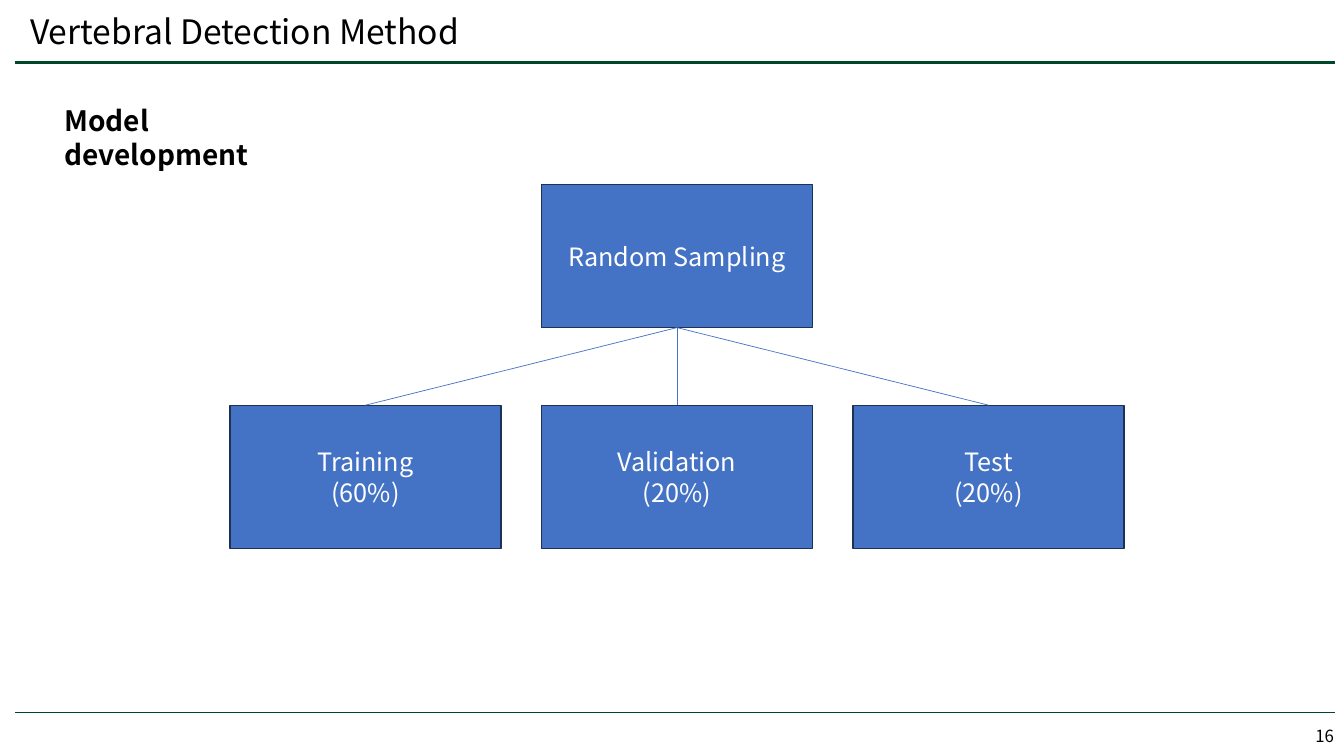
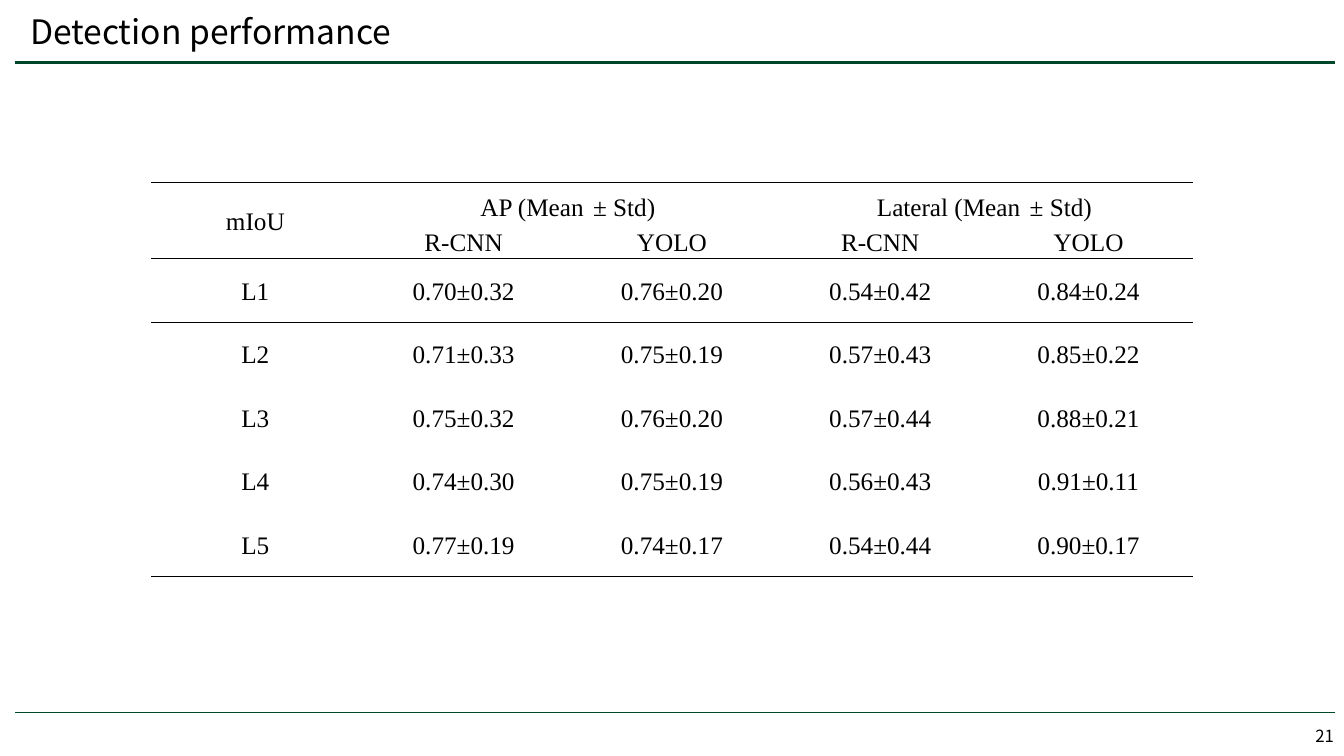
"""Build two slides on vertebral detection: the data split and the results table."""
from dataclasses import dataclass

from lxml import etree
from pptx import Presentation
from pptx import util as u
from pptx.dml.color import RGBColor
from pptx.enum import shapes, text
from pptx.oxml import ns

BLACK = RGBColor(0x00, 0x00, 0x00)
WHITE = RGBColor(0xFF, 0xFF, 0xFF)
GREY = RGBColor(0x4D, 0x51, 0x56)
GREEN = RGBColor(0x00, 0x47, 0x2A)
BLUE = RGBColor(0x44, 0x72, 0xC4)
NAVY = RGBColor(0x1E, 0x32, 0x56)

SANS, SERIF = "Noto Sans CJK KR", "Times New Roman"
LEFT, CENTER, RIGHT = text.PP_ALIGN.LEFT, text.PP_ALIGN.CENTER, text.PP_ALIGN.RIGHT
SLIDE_W, SLIDE_H = 13.33, 7.5
NO_STYLE = "{2D5ABB26-0587-4C30-8999-92F81FD0307C}"


@dataclass(frozen=True)
class Area:
    """A rectangle in inches."""
    left: float
    top: float
    width: float
    height: float

    def emu(self) -> tuple:
        """Return the rectangle as slide lengths."""
        return tuple(u.Inches(v) for v in (self.left, self.top, self.width, self.height))


@dataclass(frozen=True)
class Grid:
    """Equal boxes at a fixed pitch."""
    left: float
    top: float
    width: float
    height: float
    col_pitch: float
    row_pitch: float

    def area(self, col: int, row: int) -> Area:
        """Return the box at a column and row."""
        return Area(self.left + col * self.col_pitch, self.top + row * self.row_pitch,
                    self.width, self.height)


@dataclass(frozen=True)
class Node:
    """A box of the sampling tree."""
    label: str
    col: int
    row: int


TREE = Grid(2.28, 1.83, 2.69, 1.42, 3.09, 2.19)
ROOT = Node("Random Sampling", 1, 0)
SUBSETS = [Node("Training\n(60%)", 0, 1), Node("Validation\n(20%)", 1, 1),
           Node("Test\n(20%)", 2, 1)]

TABLE = Area(1.5, 1.81, 10.33, 3.87)
ROW_HEIGHTS = [0.35, 0.33] + [0.63] * 5
ROWS = [
    ["mIoU", "AP (Mean ± Std)", "", "Lateral (Mean ± Std)", ""],
    ["", "R-CNN", "YOLO", "R-CNN", "YOLO"],
    ["L1", "0.70±0.32", "0.76±0.20", "0.54±0.42", "0.84±0.24"],
    ["L2", "0.71±0.33", "0.75±0.19", "0.57±0.43", "0.85±0.22"],
    ["L3", "0.75±0.32", "0.76±0.20", "0.57±0.44", "0.88±0.21"],
    ["L4", "0.74±0.30", "0.75±0.19", "0.56±0.43", "0.91±0.11"],
    ["L5", "0.77±0.19", "0.74±0.17", "0.54±0.44", "0.90±0.17"],
]
MERGES = [(0, 0, 1, 0), (0, 1, 0, 2), (0, 3, 0, 4)]
RULES = {0: ["lnT"], 1: ["lnB"], 2: ["lnT"], len(ROWS) - 1: ["lnB"]}


def style_run(r, size: float, color: RGBColor, name: str = SANS, bold: bool = False) -> None:
    """Set the font of a run."""
    r.font.size, r.font.name, r.font.bold = u.Pt(size), name, bold
    r.font.color.rgb = color


def write(tf, words: str, size: float, color: RGBColor, align=LEFT, bold: bool = False) -> None:
    """Fill a text frame, one paragraph a line."""
    tf.text = words
    for p in tf.paragraphs:
        p.alignment = align
        for r in p.runs:
            style_run(r, size, color, bold=bold)


def add_text(s, area: Area, words: str, size: float, align=LEFT, bold: bool = False,
             wrap: bool = True, grow: bool = True):
    """Add a text box and return its frame."""
    tf = s.shapes.add_textbox(*area.emu()).text_frame
    tf.word_wrap = wrap
    tf.auto_size = text.MSO_AUTO_SIZE.SHAPE_TO_FIT_TEXT if grow else text.MSO_AUTO_SIZE.NONE
    write(tf, words, size, BLACK, align, bold)
    return tf


def add_line(s, x1: float, y1: float, x2: float, y2: float, color: RGBColor, width: float):
    """Add a straight line without shadow."""
    sp = s.shapes.add_connector(shapes.MSO_CONNECTOR.STRAIGHT,
                                *(u.Inches(v) for v in (x1, y1, x2, y2)))
    sp.line.color.rgb, sp.line.width = color, u.Pt(width)
    etree.SubElement(sp._element.spPr, ns.qn("a:effectLst"))
    return sp


def add_page(prs, title: str, title_width: float, number: int):
    """Add a slide with the shared rules, title and page number."""
    s = prs.slides.add_slide(prs.slide_layouts[6])
    for y, width in ((0.62, 2), (7.07, 0.5)):
        add_line(s, 0.15, y, 13.24, y, GREEN, width)
    tf = add_text(s, Area(SLIDE_W - 3, 7.1, 3, 0.4), str(number), 12, RIGHT, grow=False)
    tf.vertical_anchor = text.MSO_ANCHOR.MIDDLE
    add_text(s, Area(0.2, 0.06, title_width, 0.5), title, 24, wrap=False)
    return s


def add_node(s, node: Node):
    """Add a box of the sampling tree."""
    sp = s.shapes.add_shape(shapes.MSO_SHAPE.RECTANGLE, *TREE.area(node.col, node.row).emu())
    sp.shadow.inherit = False
    sp.fill.solid()
    sp.fill.fore_color.rgb = BLUE
    sp.line.color.rgb, sp.line.width = NAVY, u.Pt(1)
    sp.text_frame.vertical_anchor = text.MSO_ANCHOR.MIDDLE
    write(sp.text_frame, node.label, 18, WHITE, CENTER)
    return sp


def add_tree(s) -> None:
    """Draw the sampling tree with joined lines."""
    root = add_node(s, ROOT)
    for leaf in [add_node(s, node) for node in SUBSETS]:
        link = add_line(s, 0, 0, 1, 1, BLUE, 0.5)
        link.begin_connect(root, 2)
        link.end_connect(leaf, 0)


def add_border(cell, side: str) -> None:
    """Rule one side of a table cell in black."""
    ln = etree.SubElement(cell._tc.get_or_add_tcPr(), ns.qn(f"a:{side}"), w=str(u.Pt(1)))
    fill = etree.SubElement(ln, ns.qn("a:solidFill"))
    etree.SubElement(fill, ns.qn("a:srgbClr"), val=str(BLACK))


def fill_cell(cell, label: str, sides: list[str]) -> None:
    """Format a cell, with a wider gap before a spaced plus-minus sign."""
    for side in sides:
        add_border(cell, side)
    cell.fill.background()
    cell.vertical_anchor = text.MSO_ANCHOR.MIDDLE
    cell.margin_left = cell.margin_right = u.Inches(0.07)
    cell.margin_top = cell.margin_bottom = 0
    p = cell.text_frame.paragraphs[0]
    p.alignment, p.line_spacing, p.space_after = CENTER, 1.07, u.Pt(3.8)
    p.font.size = u.Pt(18)
    lead, gap, tail = label.partition(" ±")
    for part in filter(None, (lead, gap[:1], gap[1:] + tail)):
        r = p.add_run()
        r.text = part
        if part == " ":
            style_run(r, 24, GREY, "Arial")
        else:
            style_run(r, 18, BLACK, SERIF)


def add_results(s) -> None:
    """Draw the results table."""
    frame = s.shapes.add_table(len(ROWS), len(ROWS[0]), *TABLE.emu())
    table = frame.table
    table.first_row = table.horz_banding = False
    table._tbl.tblPr.find(ns.qn("a:tableStyleId")).text = NO_STYLE
    for col in table.columns:
        col.width = u.Inches(TABLE.width / len(ROWS[0]))
    for i, (height, labels) in enumerate(zip(ROW_HEIGHTS, ROWS)):
        table.rows[i].height = u.Inches(height)
        for j, label in enumerate(labels):
            fill_cell(table.cell(i, j), label, RULES.get(i, []))
    for top, left, bottom, right in MERGES:
        table.cell(top, left).merge(table.cell(bottom, right))


def main() -> None:
    """Build and save the slides."""
    prs = Presentation()
    prs.slide_width, prs.slide_height = u.Inches(SLIDE_W), u.Inches(SLIDE_H)
    s = add_page(prs, "Vertebral Detection Method", 4.78, 16)
    add_text(s, Area(0.54, 0.98, 2.9, 0.44), "Model development", 20, bold=True)
    add_tree(s)
    add_results(add_page(prs, "Detection performance", 3.94, 21))
    prs.save("out.pptx")


if __name__ == "__main__":
    main()
